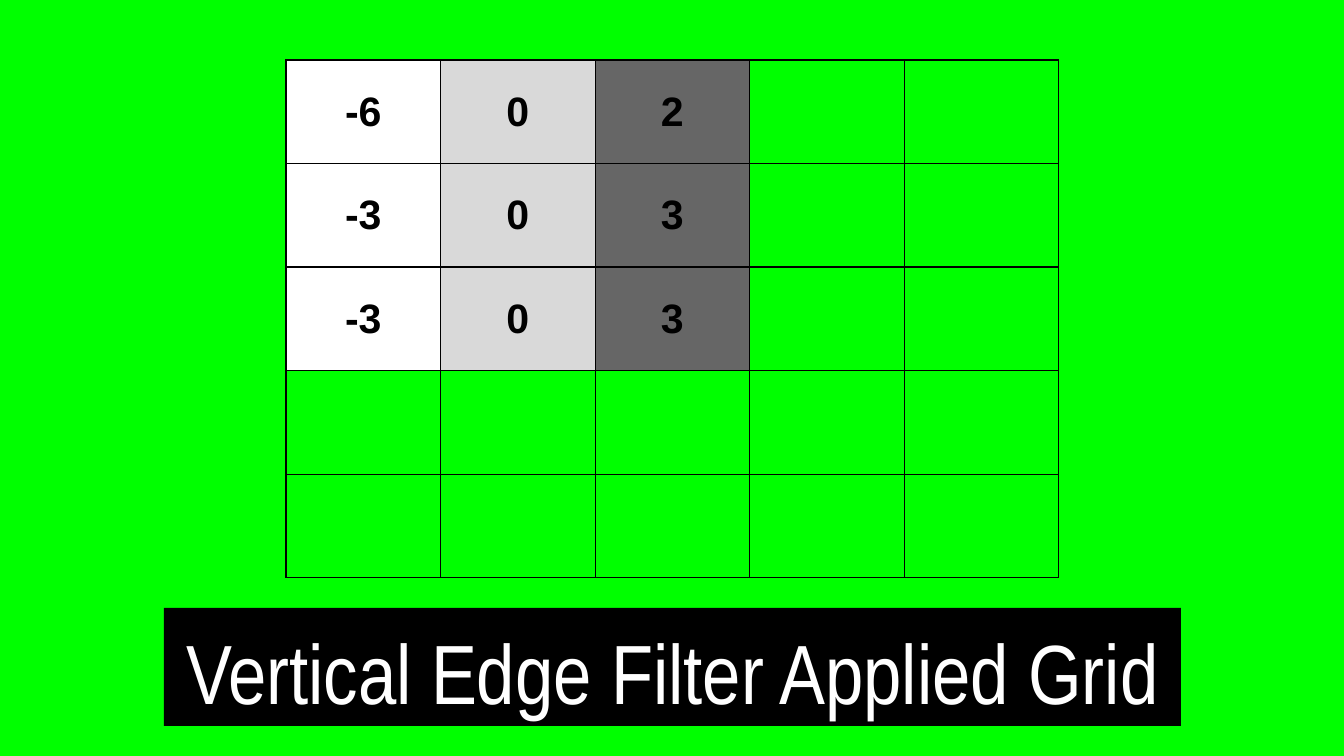
from lxml import etree
from pptx import Presentation
from pptx.dml.color import RGBColor as Rgb
from pptx.enum.text import MSO_ANCHOR as Anchor, MSO_AUTO_SIZE as Fit, PP_ALIGN as Align
from pptx.oxml import parse_xml
from pptx.oxml.ns import nsdecls, qn
from pptx.util import Pt

HUES = {
    "green": "00FF00",
    "black": "000000",
    "white": "FFFFFF",
    "light": "D9D9D9",
    "dark": "666666",
}
SIZE = 5
ROWS = [["-6", "0", "2"], ["-3", "0", "3"], ["-3", "0", "3"]]
FILLS = ["white", "light", "dark"]


def px(n):
    return round(n * 9144000 / 1344)


def hue(name):
    return Rgb.from_string(HUES[name])


def paint(fill, name):
    fill.solid()
    fill.fore_color.rgb = hue(name)


def write(frame, text, font, size, name, bold=False):
    frame.text = text
    frame.margin_left = frame.margin_right = px(13)
    frame.margin_top = frame.margin_bottom = px(13)
    para = frame.paragraphs[0]
    para.alignment = Align.CENTER
    run = para.runs[0].font
    run.name, run.size, run.bold = font, Pt(size), bold
    run.color.rgb = hue(name)


def edge(cell):
    props = cell._tc.get_or_add_tcPr()
    for i, side in enumerate("LRTB"):
        line = parse_xml(f'<a:ln{side} {nsdecls("a")} w="{Pt(0.75)}"/>')
        fill = etree.SubElement(line, qn("a:solidFill"))
        etree.SubElement(fill, qn("a:srgbClr"), val=HUES["black"])
        props.insert(i, line)


def add_grid(slide, x, y, w, h):
    shape = slide.shapes.add_table(SIZE, SIZE, px(x), px(y), px(w), px(h))
    grid = shape.table
    grid.first_row = grid.horz_banding = False
    for col in grid.columns:
        col.width = px(w / SIZE)
    for row in grid.rows:
        row.height = px(h / SIZE)
    for cell in grid.iter_cells():
        cell.fill.background()
        edge(cell)
    for r, row in enumerate(ROWS):
        for c, (text, fill) in enumerate(zip(row, FILLS)):
            cell = grid.cell(r, c)
            paint(cell.fill, fill)
            write(cell.text_frame, text, "Arial", 22, "black", True)
            cell.margin_left = cell.margin_right = px(13)
            cell.margin_top = cell.margin_bottom = px(13)
            cell.vertical_anchor = Anchor.MIDDLE


def add_title(slide, x, y, w, h):
    title = slide.shapes.title
    title.left, title.top, title.width, title.height = map(px, (x, y, w, h))
    paint(title.fill, "black")
    frame = title.text_frame
    write(frame, "Vertical Edge Filter Applied Grid", "Arial Narrow", 45, "white")
    frame.word_wrap = True
    frame.auto_size = Fit.NONE
    frame.vertical_anchor = Anchor.TOP


def main():
    deck = Presentation()
    deck.slide_width, deck.slide_height = px(1344), px(756)
    slide = deck.slides.add_slide(deck.slide_layouts[5])
    paint(slide.background.fill, "green")
    add_grid(slide, 286, 60, 773, 518)
    add_title(slide, 164, 608, 1017, 118)
    deck.save("out.pptx")


if __name__ == "__main__":
    main()
